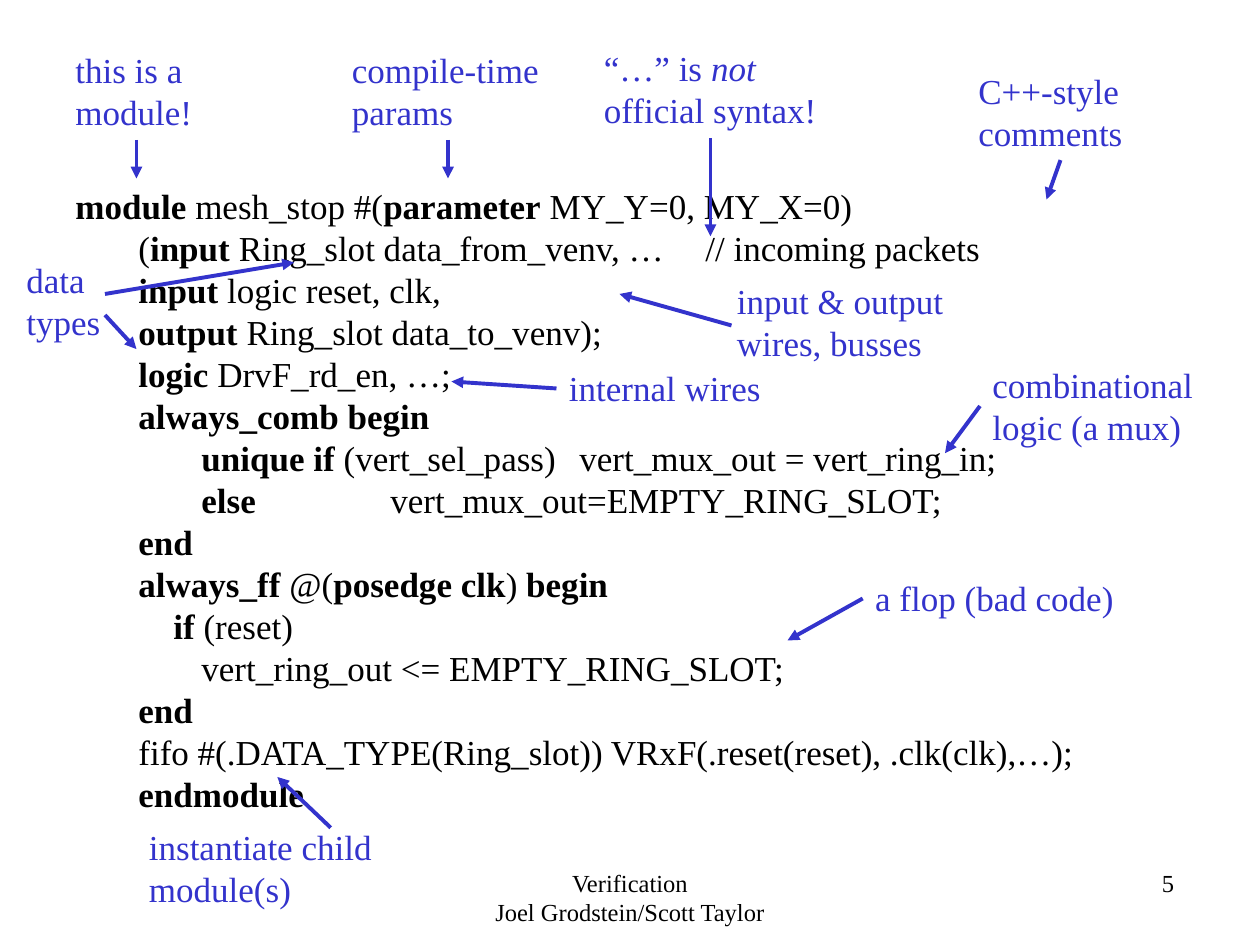
"""Build a slide of annotated SystemVerilog module code."""
from lxml import etree
from pptx import Presentation
from pptx.dml.color import RGBColor
from pptx.enum.shapes import MSO_CONNECTOR
from pptx.enum.text import PP_ALIGN
from pptx.oxml.ns import qn
from pptx.util import Pt

BLACK = RGBColor(0x00, 0x00, 0x00)
BLUE = RGBColor(0x33, 0x33, 0xCC)
LEFT, MID, RIGHT = PP_ALIGN.LEFT, PP_ALIGN.CENTER, PP_ALIGN.RIGHT
STRAIGHT = MSO_CONNECTOR.STRAIGHT

deck = Presentation()
deck.slide_width, deck.slide_height = Pt(720), Pt(540)
slide = deck.slides.add_slide(deck.slide_layouts[6])


def add_text(spot, lines, color=BLACK, size=20, lead=24, align=LEFT, mark="bold"):
    """Place lines of (indent, text); asterisks switch the mark on and off."""
    box = slide.shapes.add_textbox(*[Pt(v) for v in spot])
    frame = box.text_frame
    frame.word_wrap = True
    for i, (indent, text) in enumerate(lines):
        para = frame.paragraphs[0] if i == 0 else frame.add_paragraph()
        para.alignment = align
        para.line_spacing = Pt(lead)
        props = para._p.get_or_add_pPr()
        props.set("marL", str(Pt(indent)))
        props.set("indent", "0")
        for n, part in enumerate(text.split("*")):
            if part:
                run = para.add_run()
                run.text = part
                style = {"name": "Times New Roman", "size": Pt(size), mark: n % 2 == 1}
                for key, value in style.items():
                    setattr(run.font, key, value)
                run.font.color.rgb = color


def add_arrow(x1, y1, x2, y2):
    """Draw a blue arrow with its head at the second point."""
    arrow = slide.shapes.add_connector(STRAIGHT, Pt(x1), Pt(y1), Pt(x2), Pt(y2))
    arrow.line.color.rgb = BLUE
    arrow.line.width = Pt(2.25)
    etree.SubElement(arrow.line._ln, qn("a:tailEnd"), type="triangle")
    etree.SubElement(arrow._element.spPr, qn("a:effectLst"))


CODE = [
    (0, "*module *mesh_stop #(*parameter* MY_Y=0, MY_X=0)"),
    (0, "\t(*input *Ring_slot data_from_venv, …\t// incoming packets"),
    (0, "\t*input* logic reset, clk,"),
    (0, "\t*output *Ring_slot data_to_venv);"),
    (36, "*logic *DrvF_rd_en, …;"),
    (36, "*always_comb begin*"),
    (72, "*unique if* (vert_sel_pass)\tvert_mux_out = vert_ring_in;"),
    (72, "*else*\t\t\tvert_mux_out=EMPTY_RING_SLOT;"),
    (36, "*end*"),
    (36, "*always_ff *@(*posedge clk*) *begin*"),
    (56, "*if* (reset)"),
    (36, "\tvert_ring_out <= EMPTY_RING_SLOT;"),
    (36, "*end*"),
    (36, "fifo #(.DATA_TYPE(Ring_slot)) VRxF(.reset(reset), .clk(clk),…);"),
    (36, "*endmodule*"),
]
NOTES = [
    ("this is a module!", (36, 24, 84, 55)),
    ("compile-time params", (194, 24, 124, 55)),
    ("C++-style comments", (552, 36, 108, 55)),
    ("input & output wires, busses", (414, 156, 162, 55)),
    ("internal wires", (318, 206, 162, 32)),
    ("combinational logic (a mux)", (560, 204, 162, 55)),
    ("instantiate child module(s)", (78, 468, 162, 55)),
    ("a flop (bad code)", (493, 326, 162, 32)),
    ("“…” is *not* official syntax!", (338, 23, 137, 55)),
    ("data types", (8, 144, 64, 55)),
]
ARROWS = [
    (78, 80, 78, 102),
    (256, 80, 256, 102),
    (606, 91.5, 598, 114),
    (418, 186, 354, 168),
    (318, 222, 258, 218),
    (560, 232, 540, 259),
    (189, 473, 158.5, 444),
    (493, 342, 450, 366),
    (406, 79, 406, 135),
    (60, 168, 168, 150),
    (60, 180, 78, 199.5),
]

add_text((450, 492, 228, 36), [(0, "5")], size=14, lead=17, align=RIGHT)
credit = [(0, "Verification"), (0, "Joel Grodstein/Scott Taylor")]
add_text((246, 492, 228, 36), credit, size=14, lead=17, align=MID)
add_text((36, 102, 624, 371), CODE)
for note, spot in NOTES:
    add_text(spot, [(0, note)], BLUE, mark="italic")
for ends in ARROWS:
    add_arrow(*ends)

deck.save("out.pptx")
